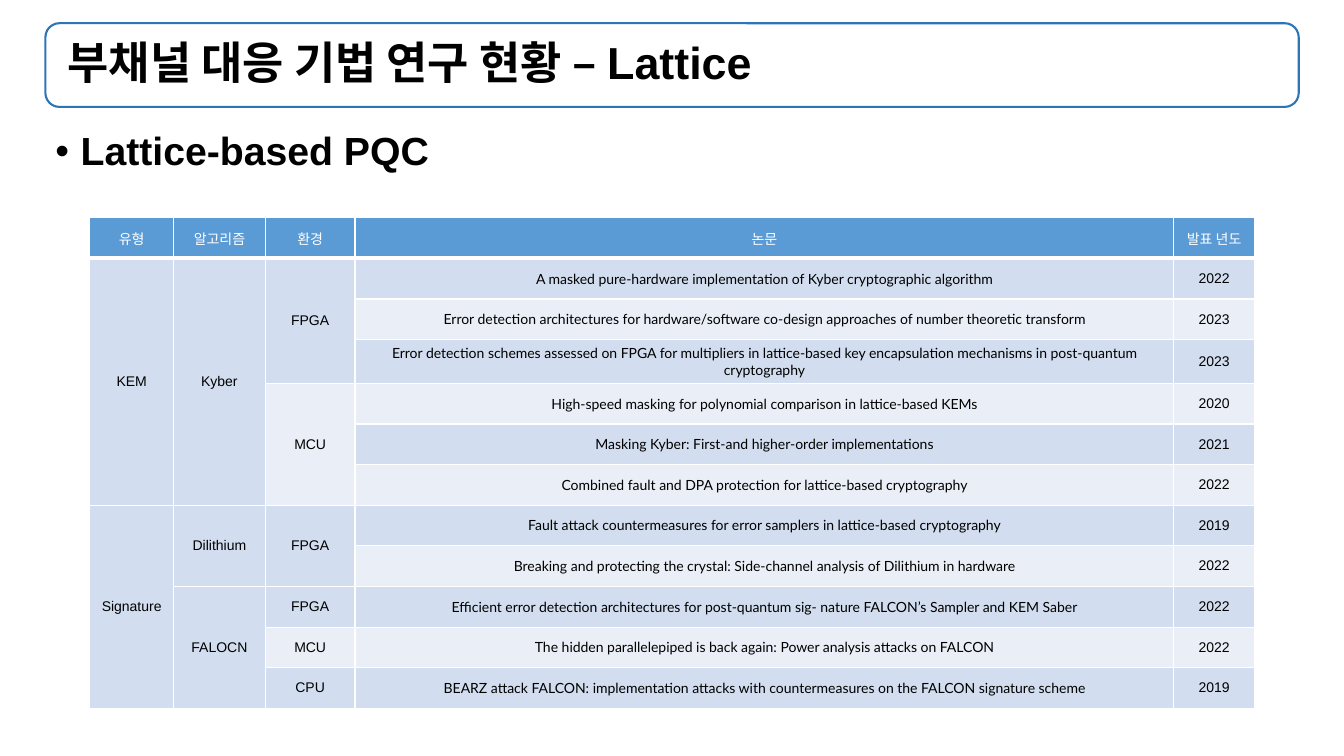
from lxml.etree import SubElement as Sub
from pptx import Presentation
from pptx.dml.color import RGBColor as RGB
from pptx.enum.shapes import MSO_SHAPE as Shape
from pptx.enum.text import MSO_ANCHOR as Anchor, MSO_AUTO_SIZE as Auto, PP_ALIGN as Align
from pptx.oxml.ns import qn
from pptx.util import Inches, Pt

HUES = {"ink": "000000", "paper": "FFFFFF", "frame": "2E75B6",
        "head": "5B9BD5", "odd": "D2DEEF", "even": "EAEFF7"}
FONTS = {
    "title": {"name": "Arial", "size": Pt(32), "bold": True},
    "body": {"name": "Arial", "size": Pt(28), "bold": True},
    "cell": {"name": "Arial", "size": Pt(10), "bold": False},
    "paper": {"name": "Lato", "size": Pt(10), "bold": False},
}
BANNER = (3.38, 3.07, 93.25, 11.07)
BODY = (3.38, 16.8, 93.25, 73.73)
COLS = (6.23, 6.83, 6.68, 60.92, 6)
ROW = 5.38
TITLE_COL = 3

# An empty cell continues the one above it.
STUDIES = [
    ("유형", "알고리즘", "환경", "논문", "발표 년도"),
    ("KEM", "Kyber", "FPGA",
     "A masked pure-hardware implementation of Kyber cryptographic algorithm", "2022"),
    ("", "", "", "Error detection architectures for hardware/software co-design "
     "approaches of number theoretic transform", "2023"),
    ("", "", "", "Error detection schemes assessed on FPGA for multipliers in lattice-based "
     "key encapsulation mechanisms in post-quantum cryptography", "2023"),
    ("", "", "MCU", "High-speed masking for polynomial comparison in lattice-based KEMs", "2020"),
    ("", "", "", "Masking Kyber: First-and higher-order implementations", "2021"),
    ("", "", "", "Combined fault and DPA protection for lattice-based cryptography", "2022"),
    ("Signature", "Dilithium", "FPGA",
     "Fault attack countermeasures for error samplers in lattice-based cryptography", "2019"),
    ("", "", "", "Breaking and protecting the crystal: Side-channel analysis of "
     "Dilithium in hardware", "2022"),
    ("", "FALOCN", "FPGA", "Efficient error detection architectures for post-quantum "
     "sig- nature FALCON’s Sampler and KEM Saber", "2022"),
    ("", "", "MCU",
     "The hidden parallelepiped is back again: Power analysis attacks on FALCON", "2022"),
    ("", "", "CPU", "BEARZ attack FALCON: implementation attacks with countermeasures "
     "on the FALCON signature scheme", "2019"),
]


class Deck:
    def __init__(self):
        self.show = Presentation()
        self.show.slide_width, self.show.slide_height = Inches(13.33), Inches(7.5)
        self.slide = self.show.slides.add_slide(self.show.slide_layouts[1])

    def x(self, share):
        return int(self.show.slide_width * share / 100)

    def y(self, share):
        return int(self.show.slide_height * share / 100)

    def place(self, left, top, width, height):
        return self.x(left), self.y(top), self.x(width), self.y(height)

    def style(self, para, look, hue):
        for key, value in FONTS[look].items():
            setattr(para.font, key, value)
        para.font.color.rgb = RGB.from_string(HUES[hue])

    def frame(self, box):
        shape = self.slide.shapes.add_shape(Shape.ROUNDED_RECTANGLE, *self.place(*box))
        shape.shadow.inherit = False
        shape.fill.background()
        shape.line.color.rgb = RGB.from_string(HUES["frame"])
        shape.line.width = Pt(1.5)
        self.slide.shapes._spTree.insert(2, shape._element)

    def fill(self, index, box, text, look, anchor):
        """Move a placeholder to box and write one left-aligned paragraph in it."""
        holder = self.slide.placeholders[index]
        holder.left, holder.top, holder.width, holder.height = self.place(*box)
        frame = holder.text_frame
        frame.text = text
        frame.auto_size, frame.vertical_anchor = Auto.NONE, anchor
        para = frame.paragraphs[0]
        para.alignment, para.line_spacing, para.space_before = Align.LEFT, 0.9, Pt(0)
        return frame, para

    def title(self, text):
        frame, para = self.fill(0, BANNER, text, "title", Anchor.MIDDLE)
        frame.margin_left = Inches(0.22)
        self.style(para, "title", "ink")

    def point(self, text):
        para = self.fill(1, BODY, text, "body", Anchor.TOP)[1]
        props = para._p.get_or_add_pPr()
        props.set("marL", str(Inches(0.25)))
        props.set("indent", str(Inches(-0.25)))
        Sub(props, qn("a:buFont"), typeface="Arial")
        Sub(props, qn("a:buChar"), char="•")
        self.style(para, "body", "ink")

    def edge(self, cell, head):
        props = cell._tc.get_or_add_tcPr()
        for side in ("lnL", "lnR", "lnT", "lnB"):
            width = Pt(3 if head and side == "lnB" else 1)
            line = Sub(props, qn(f"a:{side}"), w=str(width))
            Sub(Sub(line, qn("a:solidFill")), qn("a:srgbClr"), val=HUES["paper"])

    def cell(self, cell, text, row, col):
        head = row == 0
        self.edge(cell, head)
        cell.fill.solid()
        band = "head" if head else "odd" if row % 2 else "even"
        cell.fill.fore_color.rgb = RGB.from_string(HUES[band])
        cell.vertical_anchor = Anchor.MIDDLE
        cell.text = text
        para = cell.text_frame.paragraphs[0]
        para.alignment = Align.CENTER
        look = "paper" if col == TITLE_COL and not head else "cell"
        self.style(para, look, "paper" if head else "ink")

    def table(self, left, top, rows):
        box = self.place(left, top, sum(COLS), ROW * len(rows))
        grid = self.slide.shapes.add_table(len(rows), len(COLS), *box).table
        for line in grid.rows:
            line.height = self.y(ROW)
        for col, share in enumerate(COLS):
            grid.columns[col].width = self.x(share)
            for row, texts in enumerate(rows):
                self.cell(grid.cell(row, col), texts[col], row, col)
            starts = [row for row, texts in enumerate(rows) if texts[col]]
            for start, end in zip(starts, starts[1:] + [len(rows)]):
                if end - start > 1:
                    grid.cell(start, col).merge(grid.cell(end - 1, col))


def main():
    deck = Deck()
    deck.frame(BANNER)
    deck.title("부채널 대응 기법 연구 현황 – Lattice")
    deck.point("Lattice-based PQC")
    deck.table(6.68, 28.8, STUDIES)
    deck.show.save("out.pptx")


if __name__ == "__main__":
    main()
